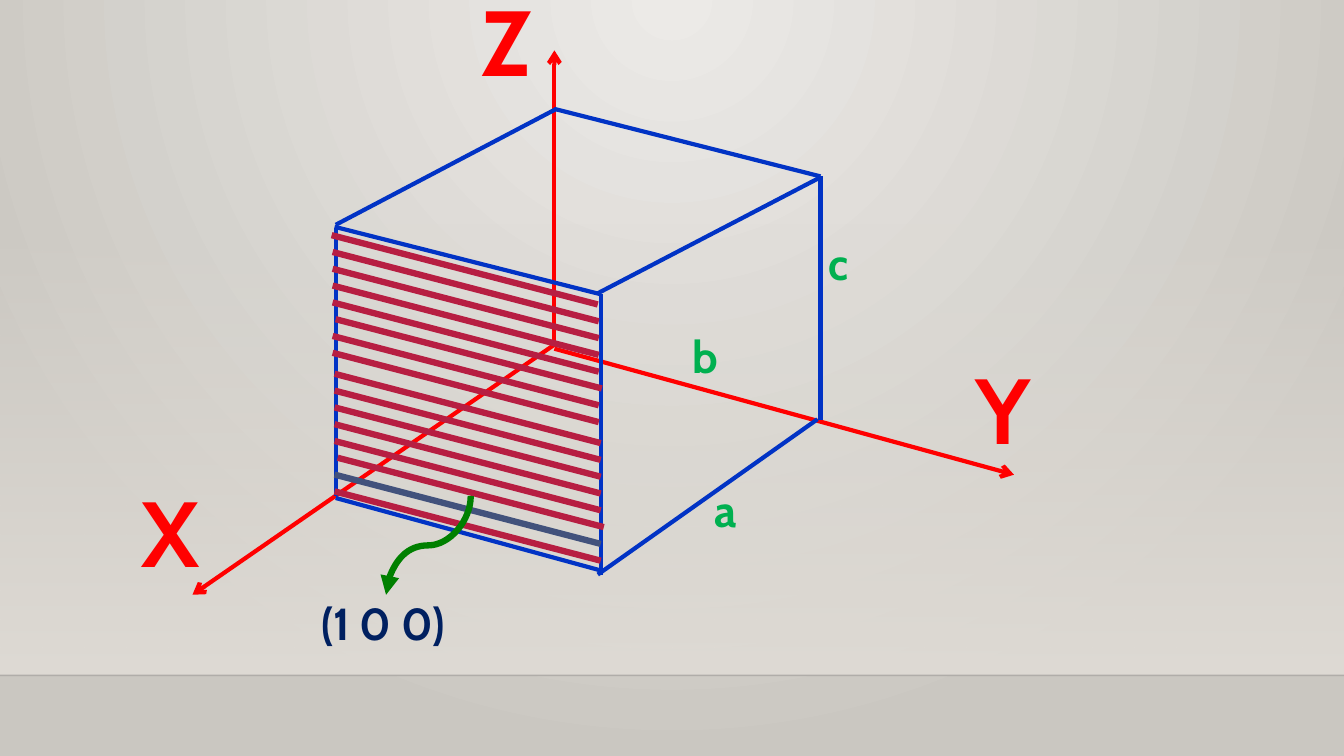
from lxml.etree import SubElement
from pptx import Presentation
from pptx.dml.color import RGBColor
from pptx.enum.shapes import MSO_CONNECTOR, MSO_SHAPE
from pptx.enum.text import MSO_AUTO_SIZE
from pptx.oxml import parse_xml
from pptx.oxml.ns import nsdecls, qn
from pptx.util import Pt

WIDTH, HEIGHT, FLOOR = 960, 540, 482.4
RED, BLUE, GREEN, NAVY = "FF0000", "0133C5", "00B050", "002060"
CRIMSON, SLATE, ARROW_GREEN = "B71E42", "42527C", "008000"

# Content, all lengths in points: start x, y, end x, y
AXES = [
    (396, 246.2, 396, 36),
    (396, 246.2, 137.5, 424.8),
    (396, 249.1, 724.3, 339.1),
]
CUBE_EDGES = [
    (396, 77.8, 586.1, 126),
    (586.1, 300.2, 586.1, 126),
    (397.4, 77.8, 239.8, 160.6),
    (584.6, 127.4, 427, 209.5),
    (239, 162, 429.1, 210.2),
    (429.1, 410.4, 429.1, 210.2),
    (239.8, 354.2, 239.8, 163.4),
    (239.8, 355.7, 429.1, 407.5),
    (583.9, 299.5, 427, 410.4),
]
# Text, left, top, width, height, size, colour
LABELS = [
    ("X", 94.3, 335.5, 102.2, 87.1, 66, RED),
    ("Y", 689.8, 247.7, 102.2, 87.1, 66, RED),
    ("Z", 337, -15.1, 102.2, 87.1, 66, RED),
    ("a", 503.3, 341.3, 31, 46.1, 32, GREEN),
    ("b", 487.4, 231.1, 31, 46.1, 32, GREEN),
    ("c", 584.6, 164.9, 31, 46.1, 32, GREEN),
    ("(1 0 0)", 222.5, 421.9, 126, 46.1, 32, NAVY),
]
# Shading of the (1 0 0) face: two bands of evenly spaced strokes
HATCH_BANDS = [(237.6, 168), (239, 267)]
STROKES_PER_BAND, STROKE_STEP = 8, 12
STROKE_RUN, STROKE_DROP = 190.1, 49.5
STROKE_LEFT = {0: 236.9, 5: 239.8, 13: 241.2}
SLATE_STROKE = 14


def color(hex_text):
    return RGBColor.from_string(hex_text)


def gradient(stops, direction):
    marks = "".join(
        f'<a:gs pos="{place * 1000}"><a:srgbClr val="{hex_text}">'
        f'<a:alpha val="{alpha * 1000}"/></a:srgbClr></a:gs>'
        for place, hex_text, alpha in stops)
    return parse_xml(f'<a:gradFill {nsdecls("a")} rotWithShape="1">'
                     f'<a:gsLst>{marks}</a:gsLst>{direction}</a:gradFill>')


def use_gradient(holder, stops, direction):
    solid = holder.find(".//" + qn("a:solidFill"))
    solid.getparent().replace(solid, gradient(stops, direction))


def add_line(slide, ends, hex_text, width, head=None, kind=MSO_CONNECTOR.STRAIGHT):
    line = slide.shapes.add_connector(kind, *[Pt(value) for value in ends])
    line.line.color.rgb = color(hex_text)
    line.line.width = Pt(width)
    properties = line.element.spPr
    if head:
        SubElement(properties.find(qn("a:ln")), qn("a:tailEnd"), type=head)
    SubElement(properties, qn("a:effectLst"))
    return line


def add_text(slide, text, left, top, width, height, size, hex_text,
             font="Cabin", bold=True):
    box = slide.shapes.add_textbox(Pt(left), Pt(top), Pt(width), Pt(height))
    box.text_frame.word_wrap = True
    box.text_frame.auto_size = MSO_AUTO_SIZE.SHAPE_TO_FIT_TEXT
    span = box.text_frame.paragraphs[0].add_run()
    span.text = text
    span.font.name, span.font.size, span.font.bold = font, Pt(size), bold
    span.font.color.rgb = color(hex_text)
    return box


deck = Presentation()
deck.slide_width, deck.slide_height = Pt(WIDTH), Pt(HEIGHT)
slide = deck.slides.add_slide(deck.slide_layouts[6])

# Backdrop: round glow, wall fading in downwards, floor line
slide.background.fill.solid()
slide.background.fill.fore_color.rgb = color("ECEAE7")
use_gradient(slide.element, [(0, "ECEAE7", 100), (100, "CAC7C1", 100)],
             '<a:path path="circle"><a:fillToRect l="43000" r="43000" b="100000"/></a:path>')
wall = slide.shapes.add_shape(MSO_SHAPE.RECTANGLE, 0, Pt(159.1), Pt(WIDTH), Pt(FLOOR - 159.1))
wall.shadow.inherit = False
wall.line.fill.background()
wall.fill.solid()
wall.fill.fore_color.rgb = color("DFDBD5")
use_gradient(wall.element.spPr, [(0, "DFDBD5", 0), (100, "DFDBD5", 100)],
             '<a:lin ang="5400000" scaled="0"/>')
floor_line = add_line(slide, (0, FLOOR, WIDTH, FLOOR), "000001", 1)
SubElement(floor_line.element.spPr.find(".//" + qn("a:srgbClr")), qn("a:alpha"), val="20000")

# Axes and cube
for ends in AXES:
    add_line(slide, ends, RED, 3, head="arrow")
for ends in CUBE_EDGES:
    add_line(slide, ends, BLUE, 3)

# Labels
for label in LABELS:
    add_text(slide, *label)

# Shaded face
for band, (band_left, band_top) in enumerate(HATCH_BANDS):
    for row in range(STROKES_PER_BAND):
        stroke = band * STROKES_PER_BAND + row
        left = STROKE_LEFT.get(stroke, band_left)
        top = band_top + row * STROKE_STEP
        add_line(slide, (left, top, left + STROKE_RUN, top + STROKE_DROP),
                 SLATE if stroke == SLATE_STROKE else CRIMSON, 4.5)

# Curved pointer, turned a quarter so that it leaves the face downwards
pointer = add_line(slide, (270.7, 359.3, 341.3, 419.8), ARROW_GREEN, 4.5,
                   head="triangle", kind=MSO_CONNECTOR.CURVE)
pointer.element.spPr.find(qn("a:xfrm")).set("rot", "5400000")

deck.save("out.pptx")
